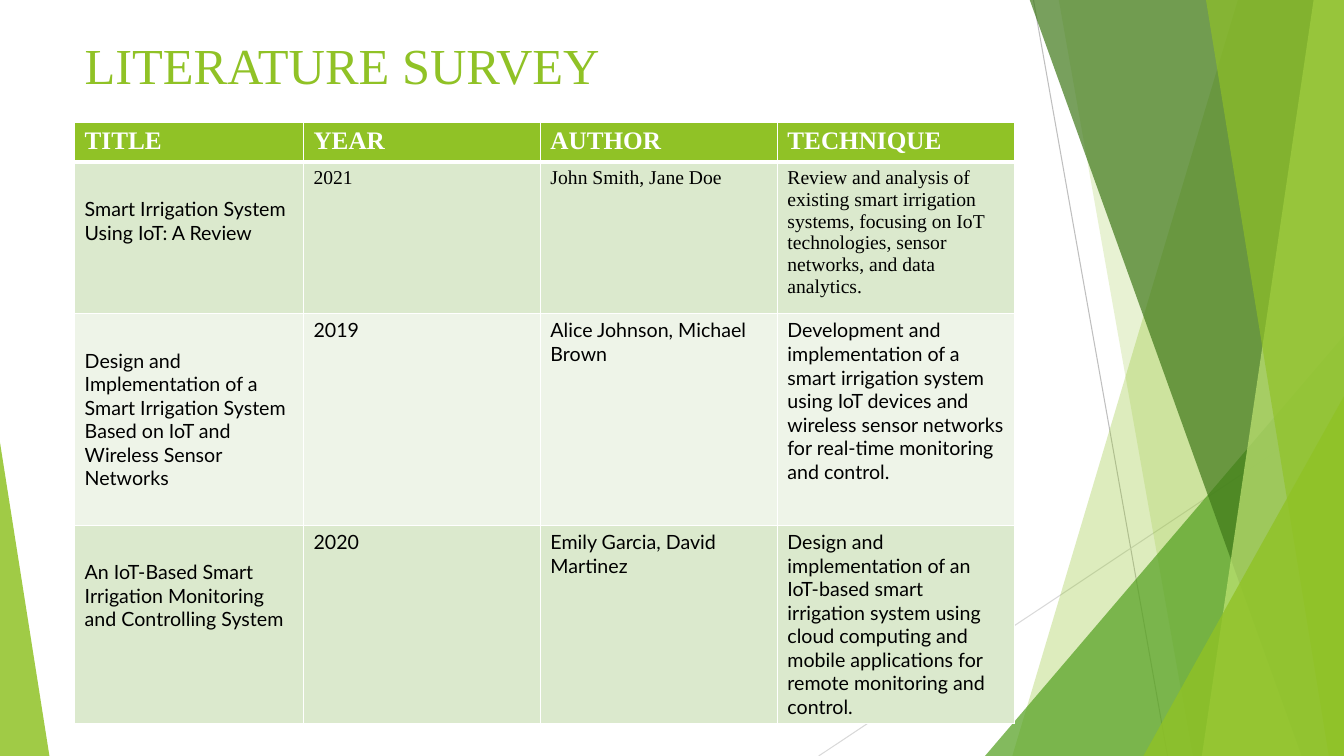
"""Build the literature survey slide: a table beside green angular shapes."""
from pptx import Presentation
from pptx.dml.color import RGBColor
from pptx.enum.shapes import MSO_CONNECTOR, MSO_SHAPE
from pptx.oxml import parse_xml
from pptx.oxml.ns import nsdecls
from pptx.util import Inches, Pt

COLORS = {
    "green": "90C226", "leaf": "54A021", "forest": "3F7819", "lime": "C0E474",
    "silver": "BFBFBF", "mist": "D9D9D9", "white": "FFFFFF", "black": "000000",
    "band": "DBE9CD", "pale": "EEF4E8",
}
FORMATS = {
    "title": {"size": Pt(36), "name": "Times New Roman", "bold": False, "color": "green"},
    "header": {"size": Pt(18), "name": "Times New Roman", "bold": True, "color": "white"},
    "serif": {"size": Pt(14), "name": "Times New Roman", "bold": False, "color": "black"},
    "body": {"size": Pt(14), "name": "Lato", "bold": False, "color": "black"},
}


def write(frame, text, style):
    """Write one formatted span into a text frame."""
    frame.word_wrap = True
    span = frame.paragraphs[0].add_run()
    span.text = text
    for key, value in FORMATS[style].items():
        if key == "color":
            span.font.color.rgb = RGBColor.from_string(COLORS[value])
        else:
            setattr(span.font, key, value)


def paint(shape, color, opacity):
    """Give a shape a translucent fill without line or shadow."""
    shape.shadow.inherit = False
    shape.line.fill.background()
    shape.fill.solid()
    shape.fill.fore_color.rgb = RGBColor.from_string(COLORS[color])
    tint = shape.fill._xPr.find(".//{*}srgbClr")
    tint.append(parse_xml(f'<a:alpha {nsdecls("a")} val="{opacity * 1000}"/>'))


deck = Presentation()
deck.slide_width, deck.slide_height = Inches(13.33), Inches(7.5)
page = deck.slides.add_slide(deck.slide_layouts[6])

rays = [(10.25, 0, 11.58, 7.5, "silver"), (13.33, 4.03, 8.12, 7.5, "mist")]
for *ends, color in rays:
    ray = page.shapes.add_connector(MSO_CONNECTOR.STRAIGHT, *map(Inches, ends))
    ray.line.width = Pt(0.75)
    ray.line.color.rgb = RGBColor.from_string(COLORS[color])
    ray._element.spPr.append(parse_xml(f'<a:effectLst {nsdecls("a")}/>'))

shards = [
    ("panel", (12.28, 10.04), "green", 30),
    ("panel", (10.5, 11.83), "green", 20),
    ("triangle", (9.77, 3.33, 3.56, 4.17, 1), "leaf", 72),
    ("panel", (10.21, 12.91), "forest", 70),
    ("panel", (13.03, 11.92), "lime", 70),
    ("panel", (11.96, 13.18), "green", 65),
    ("triangle", (11.34, 3.93, 1.99, 3.57, 1), "green", 80),
    ("triangle", (0, 4.39, 0.49, 3.11, 0), "green", 85),
]
for kind, geometry, color, opacity in shards:
    if kind == "panel":
        top_left, bottom_left = geometry
        corners = [(13.33, -0.01), (13.33, 7.5), (bottom_left, 7.5)]
        outline = page.shapes.build_freeform(Inches(top_left), Inches(-0.01))
        outline.add_line_segments([(Inches(x), Inches(y)) for x, y in corners], close=True)
        shard = outline.convert_to_shape()
    else:
        *bounds, apex = geometry
        shard = page.shapes.add_shape(MSO_SHAPE.ISOSCELES_TRIANGLE, *map(Inches, bounds))
        shard.adjustments[0] = apex
    paint(shard, color, opacity)

title_box = page.shapes.add_textbox(Inches(0.74), Inches(0.29), Inches(9.4), Inches(1.44))
write(title_box.text_frame, "LITERATURE SURVEY", "title")

survey = [
    ("TITLE", "YEAR", "AUTHOR", "TECHNIQUE"),
    ("Smart Irrigation System Using IoT: A Review", "2021", "John Smith, Jane Doe",
     "Review and analysis of existing smart irrigation systems, focusing on IoT "
     "technologies, sensor networks, and data analytics."),
    ("Design and Implementation of a Smart Irrigation System Based on IoT and "
     "Wireless Sensor Networks", "2019", "Alice Johnson, Michael Brown",
     "Development and implementation of a smart irrigation system using IoT devices "
     "and wireless sensor networks for real-time monitoring and control."),
    ("An IoT-Based Smart Irrigation Monitoring and Controlling System", "2020",
     "Emily Garcia, David Martinez",
     "Design and implementation of an IoT-based smart irrigation system using cloud "
     "computing and mobile applications for remote monitoring and control."),
]
column_widths = [2.27, 2.35, 2.35, 2.35]
row_heights = [0.37, 1.4, 2.1, 1.97]
row_fills = ["green", "band", "pale", "band"]
row_styles = ["header", "serif", "body", "body"]

table = page.shapes.add_table(
    len(survey), len(column_widths), Inches(0.74), Inches(1.21),
    Inches(sum(column_widths)), Inches(sum(row_heights))).table
table.horz_banding = False
for column, width in zip(table.columns, column_widths):
    column.width = Inches(width)
for row, height in zip(table.rows, row_heights):
    row.height = Inches(height)

for i, entries in enumerate(survey):
    for j, text in enumerate(entries):
        cell = table.cell(i, j)
        is_paper = i > 0 and j == 0
        write(cell.text_frame, text, "body" if is_paper else row_styles[i])
        cell.margin_top = Inches(0.35 if is_paper else 0.05)
        for side in "LRTB":
            heavy = (i, side) in [(0, "B"), (1, "T")]
            cell._tc.get_or_add_tcPr().append(parse_xml(
                f'<a:ln{side} {nsdecls("a")} w="{Pt(3 if heavy else 1)}"><a:solidFill>'
                f'<a:srgbClr val="{COLORS["white"]}"/></a:solidFill></a:ln{side}>'))
        cell.fill.solid()
        cell.fill.fore_color.rgb = RGBColor.from_string(COLORS[row_fills[i]])

deck.save("out.pptx")
